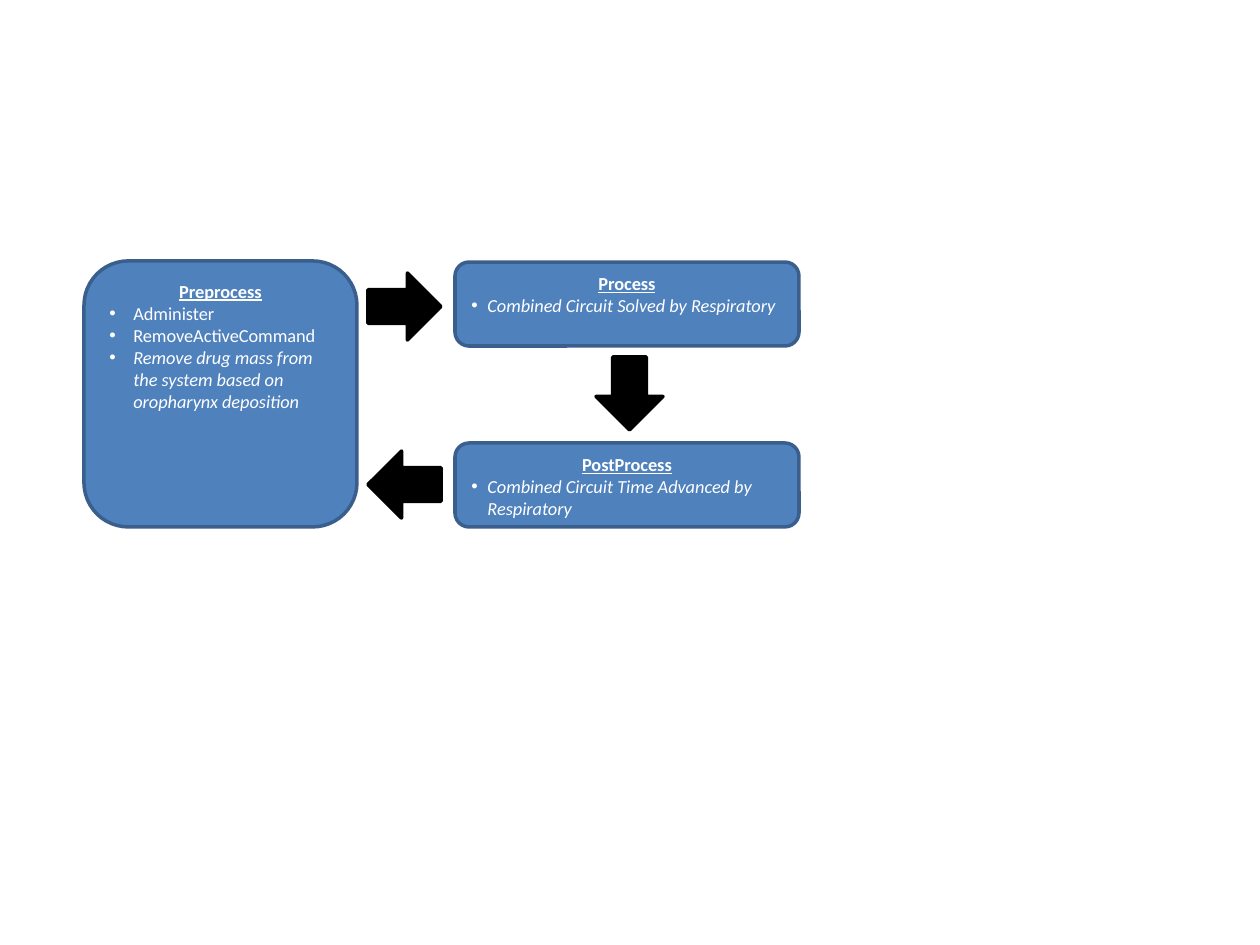
"""Build the preprocess, process and postprocess cycle slide."""
from lxml.etree import SubElement
from pptx import Presentation
from pptx.dml.color import RGBColor
from pptx.enum.shapes import MSO_SHAPE as SHAPE
from pptx.enum.text import MSO_ANCHOR as ANCHOR, PP_ALIGN as ALIGN
from pptx.oxml.ns import qn
from pptx.util import Pt

PX = 914400 / 126


def add_block(kind, x, y, w, h, fill, line):
    sp = s.shapes.add_shape(kind, *(round(v * PX) for v in (x, y, w, h)))
    sp.shadow.inherit = False
    sp.fill.solid()
    sp.fill.fore_color.rgb = RGBColor.from_string(fill)
    sp.line.color.rgb = RGBColor.from_string(line)
    sp.line.width = Pt(2)
    return sp


def add_text(p, text, color="FFFFFF", size=10.5, align=ALIGN.LEFT, indent=0, **fmt):
    p.alignment = align
    if indent:
        pPr = p._p.get_or_add_pPr()
        pPr.set("marL", str(round(indent * PX)))
        pPr.set("indent", str(round(-indent * PX)))
        SubElement(pPr, qn("a:buFont"), typeface="Arial")
        SubElement(pPr, qn("a:buChar"), char="•")
    r = p.add_run()
    r.text = text
    r.font.name = "Calibri"
    r.font.size = Pt(size)
    r.font.color.rgb = RGBColor.from_string(color)
    for name, value in fmt.items():
        setattr(r.font, name, value)


prs = Presentation()
prs.slide_width, prs.slide_height = round(1260 * PX), round(945 * PX)
s = prs.slides.add_slide(prs.slide_layouts[6])

stages = [
    ("Preprocess", (84, 261, 273, 266), 24, [
        ("Administer", False),
        ("RemoveActiveCommand", False),
        ("Remove drug mass from the system based on oropharynx deposition", True),
    ]),
    ("Process", (455, 262, 344, 84), 16, [
        ("Combined Circuit Solved by Respiratory", True),
    ]),
    ("PostProcess", (455, 443, 344, 84), 16, [
        ("Combined Circuit Time Advanced by Respiratory", True),
    ]),
]
for title, box, indent, items in stages:
    sp = add_block(SHAPE.ROUNDED_RECTANGLE, *box, "4F81BD", "3A5F8C")
    tf = sp.text_frame
    tf.word_wrap = True
    tf.vertical_anchor = ANCHOR.TOP
    add_text(tf.paragraphs[0], title, align=ALIGN.CENTER, bold=True, underline=True)
    for text, italic in items:
        add_text(tf.add_paragraph(), text, indent=indent, italic=italic)

for x, y, angle in [(371, 270, 270), (596, 357, 0), (371, 448, 90)]:
    sp = add_block(SHAPE.DOWN_ARROW, x, y, 67, 73, "000000", "000000")
    sp.rotation = angle

prs.save("out.pptx")
